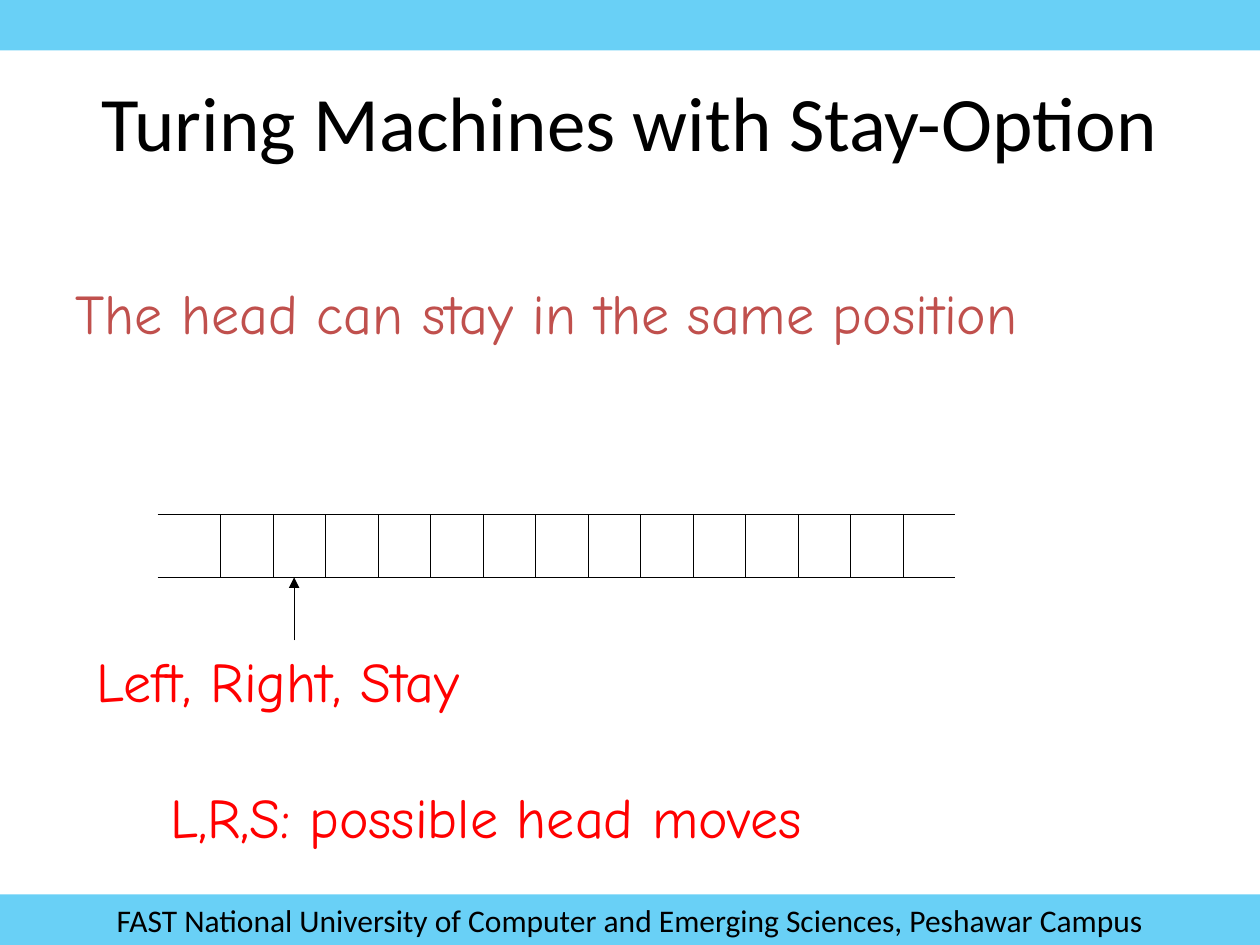
"""Build a slide on Turing machines whose head may stay in place."""

from dataclasses import dataclass

from lxml.etree import SubElement
from pptx import Presentation
from pptx.dml.color import RGBColor
from pptx.enum.shapes import MSO_CONNECTOR, MSO_SHAPE
from pptx.enum.text import MSO_ANCHOR, MSO_AUTO_SIZE, PP_ALIGN
from pptx.oxml.ns import qn
from pptx.shapes.autoshape import Shape
from pptx.shapes.connector import Connector
from pptx.slide import Slide
from pptx.util import Cm, Pt

BLACK = RGBColor(0x00, 0x00, 0x00)
RED = RGBColor(0xFF, 0x00, 0x00)
BRICK = RGBColor(0xC0, 0x50, 0x4D)
SKY = RGBColor(0x00, 0xB0, 0xF0)

PAGE_WIDTH, PAGE_HEIGHT = 25.4, 19.05
BAND_HEIGHT = 1.02
BAND_OPACITY = 59

TAPE_LEFT, TAPE_RIGHT = 3.18, 19.26
TAPE_TOP, TAPE_BOTTOM = 10.37, 11.64
FIRST_DIVIDER = 4.45
DIVIDER_COUNT = 14
CELL_WIDTH = 12.7 / 12
HEAD_X, HEAD_BOTTOM = 5.93, 12.91


@dataclass(frozen=True)
class Caption:
    text: str
    left: float
    top: float
    width: float
    color: RGBColor
    height: float = 1.6


CAPTIONS = (
    Caption("The head can stay in the same position", 1.27, 5.5, 20.88, BRICK),
    Caption("Left, Right, Stay", 1.69, 12.91, 9.45, RED),
    Caption("L,R,S: possible head moves", 3.18, 15.66, 14.53, RED),
)


def write_text(shape: Shape, text: str, font: str, size: int, color: RGBColor,
               align: PP_ALIGN, wrap: bool = True) -> None:
    frame = shape.text_frame
    frame.text = text
    frame.word_wrap = wrap
    para = frame.paragraphs[0]
    para.alignment = align
    for span in para.runs:
        span.font.name = font
        span.font.size = Pt(size)
        span.font.color.rgb = color


def draw_band(page: Slide, top: float) -> Shape:
    band = page.shapes.add_shape(
        MSO_SHAPE.RECTANGLE, Cm(0), Cm(top), Cm(PAGE_WIDTH), Cm(BAND_HEIGHT))
    band.shadow.inherit = False
    band.line.fill.background()
    band.fill.solid()
    band.fill.fore_color.rgb = SKY
    color = next(band.fill._xPr.iter(qn("a:srgbClr")))
    SubElement(color, qn("a:alpha"), val=str(BAND_OPACITY * 1000))
    return band


def draw_title(page: Slide, text: str) -> None:
    box = page.shapes.add_textbox(Cm(1.27), Cm(0.85), Cm(22.86), Cm(3.18))
    write_text(box, text, "Calibri", 44, BLACK, PP_ALIGN.CENTER)
    box.text_frame.vertical_anchor = MSO_ANCHOR.MIDDLE


def draw_caption(page: Slide, caption: Caption) -> None:
    box = page.shapes.add_textbox(
        Cm(caption.left), Cm(caption.top), Cm(caption.width), Cm(caption.height))
    write_text(box, caption.text, "Comic Neue", 32, caption.color,
               PP_ALIGN.LEFT, wrap=False)
    box.text_frame.auto_size = MSO_AUTO_SIZE.SHAPE_TO_FIT_TEXT


def draw_line(page: Slide, x1: float, y1: float, x2: float, y2: float) -> Connector:
    line = page.shapes.add_connector(
        MSO_CONNECTOR.STRAIGHT, Cm(x1), Cm(y1), Cm(x2), Cm(y2))
    line.line.color.rgb = BLACK
    line.line.width = Pt(0.75)
    SubElement(line._element.spPr, qn("a:effectLst"))
    return line


def draw_tape(page: Slide) -> None:
    for y in (TAPE_TOP, TAPE_BOTTOM):
        draw_line(page, TAPE_LEFT, y, TAPE_RIGHT, y)
    for index in range(DIVIDER_COUNT):
        x = FIRST_DIVIDER + index * CELL_WIDTH
        draw_line(page, x, TAPE_TOP, x, TAPE_BOTTOM)


def draw_head(page: Slide) -> None:
    arrow = draw_line(page, HEAD_X, HEAD_BOTTOM, HEAD_X, TAPE_BOTTOM)
    SubElement(arrow.line._get_or_add_ln(), qn("a:tailEnd"), type="triangle")


def main() -> None:
    deck = Presentation()
    deck.slide_width, deck.slide_height = Cm(PAGE_WIDTH), Cm(PAGE_HEIGHT)
    page = deck.slides.add_slide(deck.slide_layouts[6])

    draw_band(page, 0)
    footer = draw_band(page, PAGE_HEIGHT - BAND_HEIGHT)
    write_text(
        footer,
        "FAST National University of Computer and Emerging Sciences, Peshawar Campus",
        "Calibri", 18, BLACK, PP_ALIGN.CENTER)
    draw_title(page, "Turing Machines with Stay-Option")
    draw_tape(page)
    draw_head(page)
    for caption in CAPTIONS:
        draw_caption(page, caption)

    deck.save("out.pptx")


if __name__ == "__main__":
    main()
